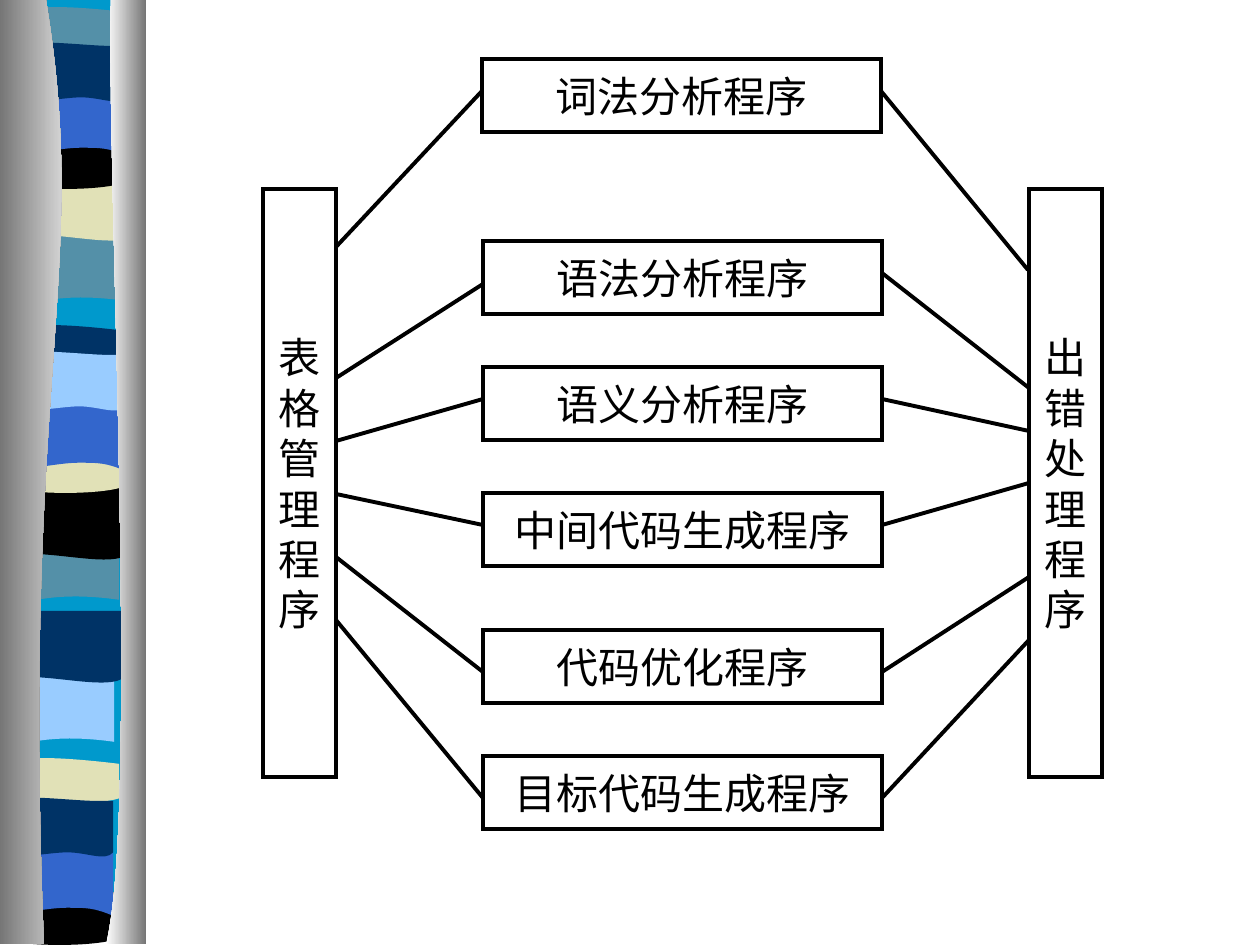
"""Build a slide of compiler phases linked to table management and error handling."""
from lxml import etree
from pptx import Presentation
from pptx.dml.color import RGBColor
from pptx.enum.shapes import MSO_CONNECTOR, MSO_SHAPE
from pptx.enum.text import MSO_ANCHOR, PP_ALIGN
from pptx.oxml.ns import qn
from pptx.util import Pt

RECTANGLE = MSO_SHAPE.RECTANGLE
STRAIGHT = MSO_CONNECTOR.STRAIGHT
MIDDLE = MSO_ANCHOR.MIDDLE
CENTER = PP_ALIGN.CENTER

BLACK = RGBColor(0x00, 0x00, 0x00)
WHITE = RGBColor(0xFF, 0xFF, 0xFF)
CYAN = RGBColor(0x00, 0x99, 0xCC)
TEAL = RGBColor(0x54, 0x90, 0xA8)
BEIGE = RGBColor(0xE1, 0xE1, 0xB7)
BLUE = RGBColor(0x33, 0x66, 0xCC)
NAVY = RGBColor(0x00, 0x33, 0x66)
LIGHT_BLUE = RGBColor(0x99, 0xCC, 0xFF)
GRAY = RGBColor(0x76, 0x76, 0x76)

PIXEL = 914400 / 126
FONT = {"name": "Times New Roman", "size": Pt(24)}
FRAME = {"word_wrap": False, "vertical_anchor": MIDDLE}

presentation = Presentation()
presentation.slide_width = round(1260 * PIXEL)
presentation.slide_height = round(945 * PIXEL)
slide = presentation.slides.add_slide(presentation.slide_layouts[6])
shapes = slide.shapes


def add_outline(segments, left=0, top=0, stretch_x=1, stretch_y=1):
    """Draw a closed outline; pairs are corners and sextuples are cubic curves."""
    points = [(round((left + segment[i] * stretch_x) * PIXEL),
               round((top + segment[i + 1] * stretch_y) * PIXEL))
              for segment in segments for i in range(0, len(segment), 2)]
    builder = shapes.build_freeform(*points[0], scale=1.0)
    builder.add_line_segments(points[1:], close=True)
    shape = builder.convert_to_shape()
    shape.shadow.inherit = False
    shape.line.fill.background()
    steps = iter(list(shape._element.iter(qn("a:lnTo"))))
    for segment in segments[1:]:
        step = next(steps)
        if len(segment) == 6:
            step.tag = qn("a:cubicBezTo")
            for other in (next(steps), next(steps)):
                step.append(other[0])
                other.getparent().remove(other)
    return shape


def add_box(lines, left, top, width, height):
    """Add a framed box with one centred paragraph for each line."""
    shape = shapes.add_shape(
        RECTANGLE, *(round(value * PIXEL) for value in (left, top, width, height)))
    shape.shadow.inherit = False
    shape.fill.solid()
    shape.fill.fore_color.rgb = WHITE
    shape.line.color.rgb = BLACK
    shape.line.width = Pt(2.25)
    etree.SubElement(shape._element.spPr.find(qn("a:ln")), qn("a:miter"), lim="800000")
    frame = shape.text_frame
    for name, value in FRAME.items():
        setattr(frame, name, value)
    for index, line in enumerate(lines):
        paragraph = frame.add_paragraph() if index else frame.paragraphs[0]
        paragraph.alignment = CENTER
        run = paragraph.add_run()
        run.text = line
        run.font.color.rgb = BLACK
        for name, value in FONT.items():
            setattr(run.font, name, value)


BASE = [(137, 0), (137, 941), (0, 941), (0, 0)]
SWELL = [(137, 0), (137, 59), (43, 49, 24, 69, 0, 59), (0, 0)]
RIPPLE = [(137, 0), (137, 59), (113, 69, 42, 52, 0, 59), (0, 0)]
ARCH = [(137, 6), (137, 36), (114, 42, 23, 42, 0, 36), (0, 6),
        (8, 0, 29, 1, 52, 1), (82, 1, 126, 5, 137, 6)]
BOWL = [(137, 0), (137, 40), (114, 48, 23, 48, 0, 40), (0, 0),
        (84, 6, 108, 0, 137, 0)]
DOME = [(137, 0), (137, 59), (115, 52, 107, 52, 83, 52),
        (60, 52, 20, 59, 0, 59), (0, 0)]
CREST = [(137, 6), (137, 45), (128, 52, 107, 45, 84, 45),
         (62, 45, 14, 52, 0, 45), (0, 6), (19, 0, 92, 6, 115, 6), (137, 6)]

base = add_outline(BASE, 8)
base.fill.solid()
base.fill.fore_color.rgb = CYAN

bands = [
    (SWELL, 6, 233, TEAL),
    (RIPPLE, 13, 169, BEIGE),
    (ARCH, 13, 6, TEAL),
    (BOWL, 6, 136, BLACK),
    (DOME, 8, 88, BLUE),
    (CREST, 8, 38, NAVY),
    (SWELL, 0, 532, TEAL),
    (RIPPLE, 6, 488, BLACK),
    (ARCH, 6, 324, NAVY),
    (BOWL, 6, 440, BEIGE),
    (DOME, 6, 403, BLUE),
    (CREST, 6, 347, LIGHT_BLUE),
    (SWELL, -5, 674, LIGHT_BLUE),
    (RIPPLE, 3, 611, NAVY),
    (ARCH, 0, 757, BEIGE),
    (BOWL, 0, 892, BLACK),
    (DOME, -6, 848, BLUE),
    (CREST, -6, 793, NAVY),
]
for outline, left, top, color in bands:
    band = add_outline(outline, left, top, 0.87, 1.32 if outline is CREST else 1.15)
    band.fill.solid()
    band.fill.fore_color.rgb = color

panels = [
    ([(46, 0), (91, 272, 21, 373, 44, 944), (0, 944), (0, 0)], (GRAY, WHITE)),
    ([(111, 0), (106, 158, 140, 814, 106, 944), (146, 944), (146, 0)], (WHITE, GRAY)),
]
for outline, colors in panels:
    panel = add_outline(outline)
    panel.fill.gradient()
    panel.fill.gradient_angle = 0
    for stop, color, position in zip(panel.fill.gradient_stops, colors, (0, 1)):
        stop.color.rgb = color
        stop.position = position

TABLE_LEFT, ERROR_LEFT = 263, 1029
COLUMN_TOP, COLUMN_HEIGHT = 189, 588
PHASE_LEFT, PHASE_WIDTH = 483, 399
THICKNESS = 73

add_box("出错处理程序", ERROR_LEFT, COLUMN_TOP, THICKNESS, COLUMN_HEIGHT)

phases = [
    ("语法分析程序", 0, 241, (284, 378), (273, 388)),
    ("语义分析程序", 0, 367, (399, 441), (399, 431)),
    ("目标代码生成程序", 0, 756, (798, 620), (798, 640)),
    ("词法分析程序", -1, 59, (91, 248), (91, 270)),
    ("中间代码生成程序", 0, 493, (525, 494), (525, 483)),
    ("代码优化程序", 0, 630, (672, 557), (672, 577)),
]
for label, shift, top, table_link, error_link in phases:
    left = PHASE_LEFT + shift
    add_box([label], left, top, PHASE_WIDTH, THICKNESS)
    links = [(left, TABLE_LEFT + THICKNESS + shift, table_link),
             (left + PHASE_WIDTH, ERROR_LEFT + shift, error_link)]
    for phase_x, column_x, (phase_y, column_y) in links:
        connector = shapes.add_connector(
            STRAIGHT,
            *(round(value * PIXEL) for value in (phase_x, phase_y, column_x, column_y)))
        connector.line.color.rgb = BLACK
        connector.line.width = Pt(2.25)
        etree.SubElement(connector._element.spPr, qn("a:effectLst"))

add_box("表格管理程序", TABLE_LEFT, COLUMN_TOP, THICKNESS, COLUMN_HEIGHT)

presentation.save("out.pptx")
